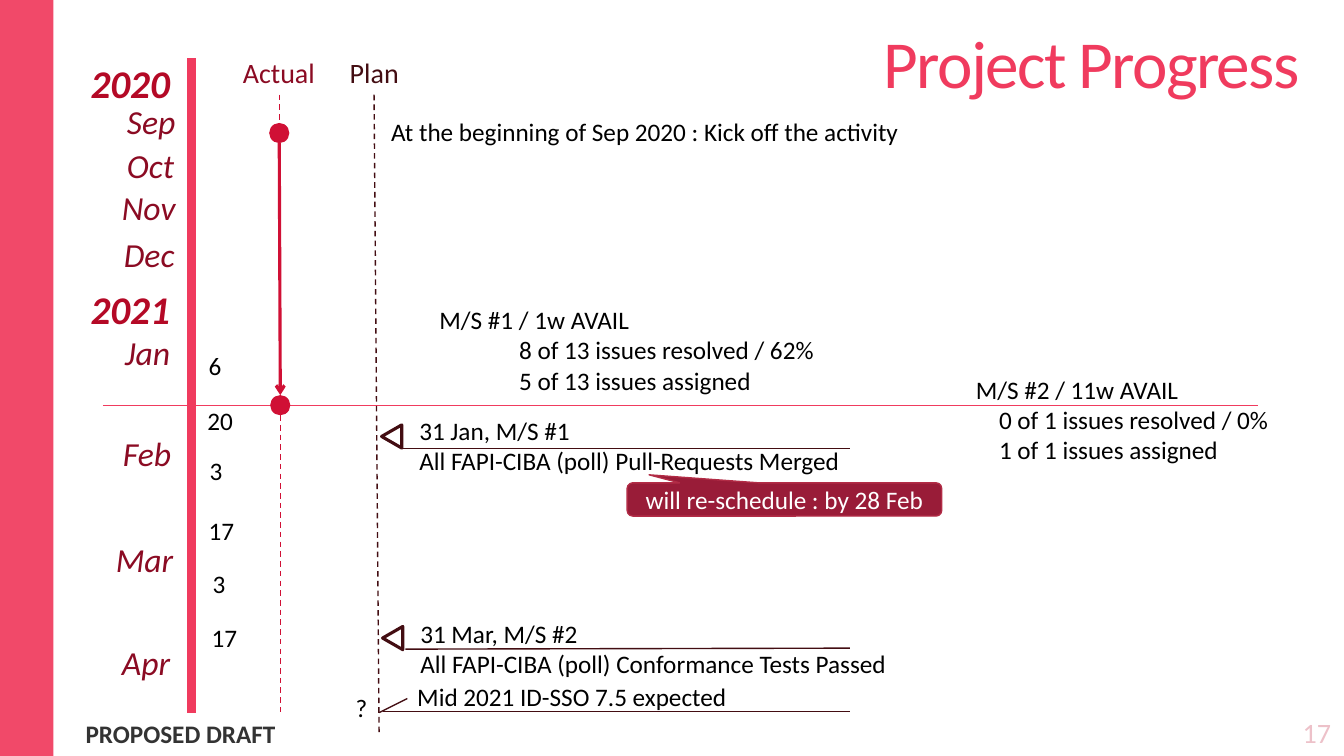
from dataclasses import dataclass

from lxml import etree
from pptx import Presentation
from pptx.dml.color import RGBColor
from pptx.enum.dml import MSO_LINE
from pptx.enum.shapes import MSO_CONNECTOR, MSO_SHAPE
from pptx.enum.text import MSO_ANCHOR, MSO_AUTO_SIZE, PP_ALIGN
from pptx.oxml.ns import qn
from pptx.util import Inches, Pt

STRAIGHT = MSO_CONNECTOR.STRAIGHT
DASH = MSO_LINE.DASH
RECTANGLE, OVAL = MSO_SHAPE.RECTANGLE, MSO_SHAPE.OVAL
TRIANGLE, CALLOUT = MSO_SHAPE.ISOSCELES_TRIANGLE, MSO_SHAPE.ROUNDED_RECTANGULAR_CALLOUT
TOP, MIDDLE, BOTTOM = MSO_ANCHOR.TOP, MSO_ANCHOR.MIDDLE, MSO_ANCHOR.BOTTOM
LEFT, CENTER, RIGHT = PP_ALIGN.LEFT, PP_ALIGN.CENTER, PP_ALIGN.RIGHT
NO_AUTOFIT = MSO_AUTO_SIZE.NONE
FONT = "Calibri"
TITLE_ONLY = 5

COLORS = {
    "accent": "F03B5E", "sidebar": "F14969", "actual": "D01035", "plan": "430D12",
    "year": "B40926", "month": "8B0B23", "text": "000000", "draft": "333333",
    "page": "EDC1C9", "callout": "991C38", "callout_edge": "B22C46", "white": "FFFFFF",
}


@dataclass
class Label:
    lines: list[str]
    left: float
    top: float
    width: float
    height: float = 0.4
    size: int = 18
    color: str = "text"
    bold: bool = False
    italic: bool = False
    align: PP_ALIGN = LEFT
    anchor: MSO_ANCHOR = TOP
    wrap: bool = True
    indent: float = 0  # left margin of every line after the first


@dataclass
class Line:
    start: tuple[float, float]
    end: tuple[float, float]
    color: str
    weight: float = 1
    dashed: bool = False
    arrow: bool = False


@dataclass
class Box:
    kind: MSO_SHAPE
    left: float
    top: float
    width: float
    height: float
    fill: str | None = None
    edge: str | None = None
    weight: float = 1
    rotation: float = 0


def month(name: str, left: float, top: float, width: float) -> Label:
    return Label([name], left, top, width, 0.5, 24, "month", italic=True, wrap=False)


def year(name: str, top: float) -> Label:
    return Label([name], 0.8, top, 1.01, 0.57, 28, "year", bold=True, italic=True)


def day(name: str, left: float, top: float) -> Label:
    return Label([name], left, top, 0.2 + 0.13 * len(name), wrap=False)


def milestone_marker(left: float, top: float) -> Box:
    return Box(TRIANGLE, left, top, 0.23, 0.2, None, "plan", 2.25, 270)


LINES = [
    Line((1.02, 4.02), (12.48, 4.02), "accent", 0.75),
    Line((2.77, 1.42), (2.78, 3.92), "actual", 2.25, arrow=True),
    Line((1.9, 0.58), (1.9, 7.07), "accent", 6),
    Line((2.77, 0.94), (2.77, 1.22), "actual", dashed=True),
    Line((2.78, 4.12), (2.78, 7.06), "actual", dashed=True),
    Line((3.71, 0.94), (3.76, 7.28), "plan", dashed=True),
    Line((3.98, 4.45), (8.43, 4.45), "plan"),
    Line((4.02, 6.44), (8.43, 6.43), "plan"),
    Line((3.8, 7.06), (8.43, 7.06), "plan"),
    Line((3.76, 7.07), (4.04, 6.93), "plan"),
]

BOXES = [
    Box(RECTANGLE, 0, 0, 0.53, 7.5, "sidebar"),
    Box(OVAL, 2.67, 1.22, 0.2, 0.2, "actual"),
    Box(OVAL, 2.68, 3.92, 0.2, 0.2, "actual"),
    milestone_marker(3.77, 4.23),
    milestone_marker(3.78, 6.23),
]

LABELS = [
    Label(["17"], 12.48, 6.79, 0.82, 0.69, 20, "page", align=RIGHT, anchor=BOTTOM),
    Label(["Actual"], 2.31, 0.5, 0.92, 0.44, 20, "month"),
    Label(["Plan"], 3.37, 0.5, 0.69, 0.44, 20, "plan"),
    year("2020", 0.54),
    month("Sep", 1.16, 0.95, 0.68),
    month("Oct", 1.16, 1.39, 0.67),
    month("Nov", 1.11, 1.81, 0.73),
    month("Dec", 1.13, 2.27, 0.71),
    year("2021", 2.78),
    month("Jan", 1.14, 3.24, 0.65),
    month("Feb", 1.12, 4.25, 0.68),
    month("Mar", 1.05, 5.3, 0.77),
    month("Apr", 1.11, 6.32, 0.68),
    day("6", 1.97, 3.43),
    day("20", 1.96, 3.97),
    day("3", 1.98, 4.47),
    day("17", 1.97, 5.06),
    day("3", 2.01, 5.59),
    day("17", 2, 6.12),
    day("?", 3.43, 6.82),
    Label(["PROPOSED DRAFT"], 0.75, 7.15, 5.5, 0.25, 18, "draft", bold=True, anchor=MIDDLE),
    Label(["At the beginning of Sep 2020 : Kick off the activity"], 3.78, 1.11, 5.35),
    Label(["M/S #1 / 1w AVAIL", "8 of 13 issues resolved / 62%", "5 of 13 issues assigned"],
          4.26, 2.97, 4.19, 1.01, indent=0.79),
    Label(["M/S #2 / 11w AVAIL", "0 of 1 issues resolved / 0%", "1 of 1 issues assigned"],
          9.58, 3.66, 3.38, 1.01, indent=0.23),
    Label(["31 Jan, M/S #1", "All FAPI-CIBA (poll) Pull-Requests Merged"],
          4.06, 4.07, 4.58, 0.71),
    Label(["31 Mar, M/S #2", "All FAPI-CIBA (poll) Conformance Tests Passed"],
          4.07, 6.08, 5.17, 0.71),
    Label(["Mid 2021 ID-SSO 7.5 expected"], 4.04, 6.71, 3.57),
]


def rgb(name: str) -> RGBColor:
    return RGBColor.from_string(COLORS[name])


def write(shape, label: Label) -> None:
    frame = shape.text_frame
    frame.auto_size = NO_AUTOFIT
    frame.word_wrap = label.wrap
    frame.vertical_anchor = label.anchor
    for index, line in enumerate(label.lines):
        paragraph = frame.add_paragraph() if index else frame.paragraphs[0]
        paragraph.alignment = label.align
        if index and label.indent:
            paragraph._p.get_or_add_pPr().set("marL", str(Inches(label.indent)))
        run = paragraph.add_run()
        run.text = line
        font = run.font
        font.name, font.size = FONT, Pt(label.size)
        font.bold, font.italic = label.bold, label.italic
        font.color.rgb = rgb(label.color)


def add_label(slide, label: Label) -> None:
    bounds = (label.left, label.top, label.width, label.height)
    write(slide.shapes.add_textbox(*map(Inches, bounds)), label)


def add_line(slide, line: Line) -> None:
    connector = slide.shapes.add_connector(STRAIGHT, *map(Inches, line.start + line.end))
    connector.line.color.rgb = rgb(line.color)
    connector.line.width = Pt(line.weight)
    if line.dashed:
        connector.line.dash_style = DASH
    if line.arrow:
        etree.SubElement(connector.line._get_or_add_ln(), qn("a:tailEnd"), type="arrow")
    etree.SubElement(connector._element.spPr, qn("a:effectLst"))


def add_box(slide, box: Box):
    bounds = (box.left, box.top, box.width, box.height)
    shape = slide.shapes.add_shape(box.kind, *map(Inches, bounds))
    shape.shadow.inherit = False
    shape.rotation = box.rotation
    if box.fill:
        shape.fill.solid()
        shape.fill.fore_color.rgb = rgb(box.fill)
    else:
        shape.fill.background()
    if box.edge:
        shape.line.color.rgb = rgb(box.edge)
        shape.line.width = Pt(box.weight)
    else:
        shape.line.fill.background()
    return shape


def add_title(slide) -> None:
    label = Label(["Project Progress"], 5.02, 0.16, 7.97, 0.9, 48, "accent",
                  align=RIGHT, anchor=BOTTOM)
    title = slide.shapes.title
    title.left, title.top = Inches(label.left), Inches(label.top)
    title.width, title.height = Inches(label.width), Inches(label.height)
    write(title, label)
    paragraph = title.text_frame.paragraphs[0]
    paragraph.line_spacing = 0.85
    paragraph.runs[0]._r.get_or_add_rPr().set("spc", "-120")


def add_reschedule_callout(slide) -> None:
    box = Box(CALLOUT, 6.22, 4.79, 3.12, 0.33, "callout", "callout_edge")
    callout = add_box(slide, box)
    for index, value in enumerate((-0.43, -0.74, 0.17)):
        callout.adjustments[index] = value
    write(callout, Label(["will re-schedule : by 28 Feb"], box.left, box.top, box.width,
                         box.height, color="white", align=CENTER, anchor=MIDDLE))


def main() -> None:
    presentation = Presentation()
    presentation.slide_width, presentation.slide_height = Inches(13.33), Inches(7.5)
    slide = presentation.slides.add_slide(presentation.slide_layouts[TITLE_ONLY])
    add_title(slide)
    for line in LINES:
        add_line(slide, line)
    for box in BOXES:
        add_box(slide, box)
    for label in LABELS:
        add_label(slide, label)
    add_reschedule_callout(slide)
    presentation.save("out.pptx")


if __name__ == "__main__":
    main()
